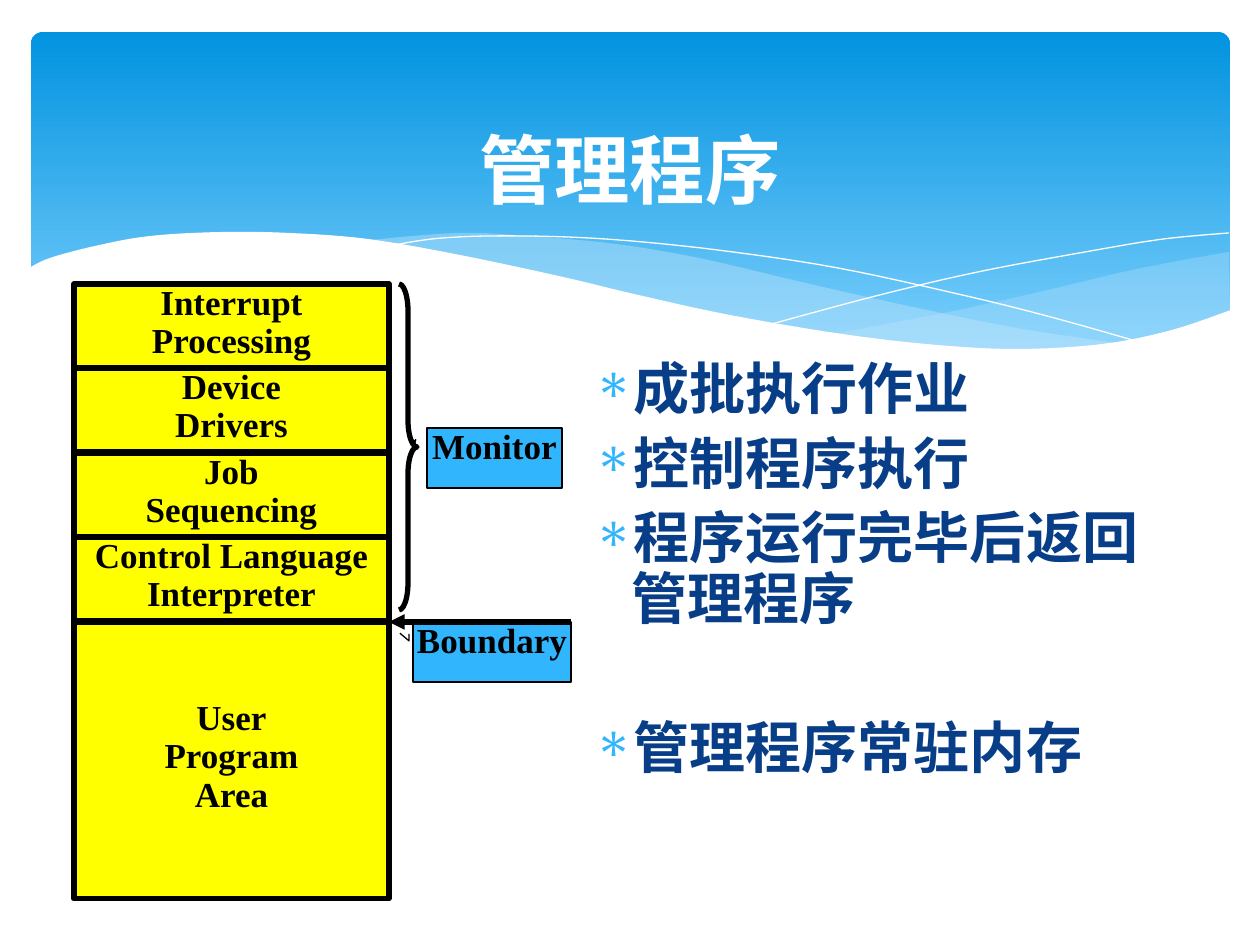
from lxml.etree import SubElement
from pptx import Presentation
from pptx.dml.color import RGBColor
from pptx.enum.shapes import MSO_CONNECTOR, MSO_SHAPE
from pptx.enum.text import MSO_ANCHOR, PP_ALIGN
from pptx.oxml.ns import qn
from pptx.util import Pt

PX = 7257
FINE = 100
rgb = RGBColor.from_string


def smooth(knots, steps=6):
    ends = [knots[0], *knots, knots[-1]]
    points = [knots[0]]
    for a, b, c, d in zip(ends, ends[1:], ends[2:], ends[3:]):
        for i in range(1, steps + 1):
            t = i / steps
            points.append(tuple(
                (2 * q + (r - p) * t + (2 * p - 5 * q + 4 * r - s) * t ** 2
                 + (3 * q - p - 3 * r + s) * t ** 3) / 2
                for p, q, r, s in zip(a, b, c, d)))
    return points


def style(p, size, font, color):
    for r in p.runs:
        r.font.size = Pt(size)
        r.font.name = font
        r.font.bold = True
        r.font.color.rgb = rgb(color)


prs = Presentation()
prs.slide_width, prs.slide_height = 1260 * PX, 945 * PX
s = prs.slides.add_slide(prs.slide_layouts[6])

banner = s.shapes.add_shape(MSO_SHAPE.ROUNDED_RECTANGLE, 31 * PX, 32 * PX, 1199 * PX, 340 * PX)
banner.shadow.inherit = False
banner.adjustments[0] = 0.034
banner.line.fill.background()
banner.fill.gradient()
banner.fill.gradient_angle = 270
for stop, color in zip(banner.fill.gradient_stops, ["0293E0", "83D3FE"]):
    stop.color.rgb = rgb(color)

right_top = [(1229, 252), (1178, 261), (1123, 272), (1048, 290), (949, 312), (833, 334)]
right_bottom = [(833, 334), (888, 341), (954, 348), (1012, 350), (1087, 347), (1160, 334),
                (1230, 311)]
middle_top = [(1125, 344), (1017, 328), (890, 302), (793, 280), (699, 258), (616, 244),
              (529, 236), (455, 233), (360, 241)]
middle_bottom = [(360, 241), (456, 256), (566, 280), (668, 302), (779, 325), (876, 340),
                 (942, 348), (1017, 352), (1080, 349), (1125, 344)]
falling = [(389, 246), (432, 239), (488, 236), (567, 237), (643, 242), (733, 252),
           (838, 268), (958, 294), (1047, 316), (1143, 343)]
rising = [(772, 324), (876, 296), (978, 272), (1091, 251), (1164, 239), (1229, 233)]
front = [(1231, 310), (1172, 330), (1103, 344), (1019, 349), (937, 345), (842, 334),
         (730, 315), (634, 294), (563, 277), (460, 255), (368, 239), (290, 233),
         (222, 232), (150, 236), (95, 246), (50, 258), (29, 268)]
waves = [
    (smooth(right_top) + smooth(right_bottom), "C6E7FC", 29),
    (smooth(middle_top) + smooth(middle_bottom), "C6E7FC", 40),
    (smooth(falling), None, 0),
    (smooth(rising), None, 0),
    (smooth(front) + [(29, 415), (1231, 415)], "FFFFFF", 100),
]
for points, fill, opacity in waves:
    points = [(x * FINE, y * FINE) for x, y in points]
    builder = s.shapes.build_freeform(*points[0], scale=PX / FINE)
    builder.add_line_segments(points[1:], close=fill is not None)
    sp = builder.convert_to_shape()
    sp.shadow.inherit = False
    if fill:
        sp.fill.solid()
        sp.fill.fore_color.rgb = rgb(fill)
        sp.line.fill.background()
        if opacity < 100:
            clr = sp.fill._xPr.find(qn("a:solidFill"))[0]
            SubElement(clr, qn("a:alpha"), val=str(opacity * 1000))
    else:
        sp.fill.background()
        sp.line.color.rgb = rgb("FFFFFF")
        sp.line.width = Pt(0)

body = s.shapes.add_textbox(581 * PX, 355 * PX, 615 * PX, 498 * PX)
tf = body.text_frame
tf.word_wrap = True
tf.text = "成批执行作业\n控制程序执行\n程序运行完毕后返回管理程序\n管理程序常驻内存"
for p, gap in zip(tf.paragraphs, [0, 8, 8, 51]):
    p.line_spacing = 0.9
    p.space_before = Pt(gap)
    pPr = p._p.get_or_add_pPr()
    pPr.set("marL", str(38 * PX))
    pPr.set("indent", str(-38 * PX))
    SubElement(SubElement(pPr, qn("a:buClr")), qn("a:srgbClr"), val="31B6FD")
    SubElement(pPr, qn("a:buChar"), char="∗")
    style(p, 32, "Noto Sans CJK JP", "073E87")
    for r in p.runs:
        SubElement(r._r.get_or_add_rPr(), qn("a:ea"), typeface="Noto Sans CJK JP")

title = s.shapes.add_textbox(63 * PX, 123 * PX, 1134 * PX, 91 * PX)
tf = title.text_frame
tf.word_wrap = True
tf.vertical_anchor = MSO_ANCHOR.MIDDLE
tf.text = "管理程序"
tf.paragraphs[0].alignment = PP_ALIGN.CENTER
style(tf.paragraphs[0], 43, "Times New Roman", "FFFFFF")

resident = ["Interrupt\nProcessing", "Device\nDrivers", "Job\nSequencing",
            "Control Language\nInterpreter"]
row_top, row_height = 284, 84.4
boundary = round(row_top + len(resident) * row_height)
boxes = [("Boundary", 413, boundary, 158, 60, -0.025, 0)]
for i, text in enumerate(resident):
    boxes.append((text, 74, round(row_top + i * row_height), 315, 84, None, 0))
boxes += [("User\nProgram\nArea", 74, boundary, 315, 277, None, 77),
          ("Monitor", 427, 428, 135, 60, -0.097, 0)]
for text, x, y, w, h, bend, inset in boxes:
    kind = MSO_SHAPE.LINE_CALLOUT_2 if bend else MSO_SHAPE.RECTANGLE
    sp = s.shapes.add_shape(kind, x * PX, y * PX, w * PX, h * PX)
    sp.shadow.inherit = False
    if bend:
        for i, value in enumerate([0.188, -0.083, 0.317, bend, 0.198, bend]):
            sp.adjustments[i] = value
    sp.fill.solid()
    sp.fill.fore_color.rgb = rgb("31B6FD" if bend else "FFFF00")
    sp.line.color.rgb = rgb("000000")
    sp.line.width = Pt(0.75 if bend else 3)
    tf = sp.text_frame
    tf.word_wrap = True
    tf.vertical_anchor = MSO_ANCHOR.TOP
    tf.margin_left = tf.margin_right = tf.margin_bottom = 0
    tf.margin_top = inset * PX
    tf.text = text
    for p in tf.paragraphs:
        p.alignment = PP_ALIGN.CENTER
        p.line_spacing = Pt(22)
        style(p, 20, "Times New Roman", "000000")

brace = s.shapes.add_shape(MSO_SHAPE.RIGHT_BRACE, 399 * PX, row_top * PX, 18 * PX, 326 * PX)
brace.shadow.inherit = False
brace.adjustments[0] = 1.5
brace.fill.background()
brace.line.color.rgb = rgb("000000")
brace.line.width = Pt(3)

arrow = s.shapes.add_connector(MSO_CONNECTOR.STRAIGHT, 571 * PX, boundary * PX,
                               389 * PX, boundary * PX)
arrow.line.color.rgb = rgb("000000")
arrow.line.width = Pt(3)
SubElement(arrow.line._get_or_add_ln(), qn("a:tailEnd"), type="triangle")
SubElement(arrow._element.spPr, qn("a:effectLst"))

prs.save("out.pptx")
